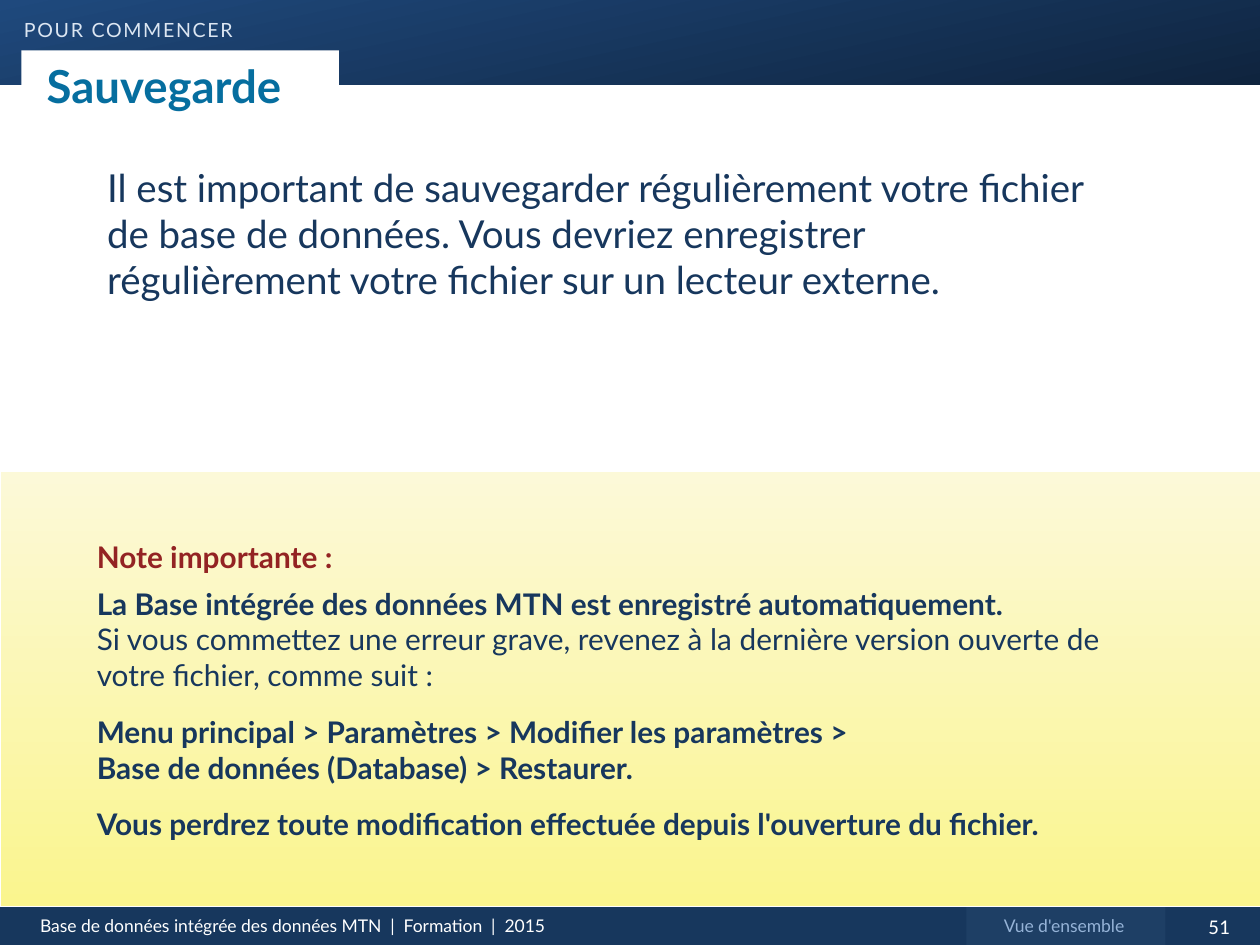
"""Build the "Sauvegarde" training slide."""
from dataclasses import dataclass

from pptx import Presentation
from pptx.dml.color import RGBColor
from pptx.enum.shapes import MSO_SHAPE
from pptx.enum.text import MSO_ANCHOR, MSO_AUTO_SIZE, PP_ALIGN
from pptx.oxml import parse_xml
from pptx.oxml.ns import nsdecls
from pptx.util import Inches, Pt

RECT = MSO_SHAPE.RECTANGLE
TOP, MIDDLE = MSO_ANCHOR.TOP, MSO_ANCHOR.MIDDLE
NO_FIT = MSO_AUTO_SIZE.NONE
LEFT, CENTER = PP_ALIGN.LEFT, PP_ALIGN.CENTER

COLORS = {
    "blue": "1F497D", "night": "0F243E", "navy": "17375D", "tab": "1E3F65",
    "white": "FFFFFF", "pale": "DCE6F2", "sky": "95B3D7", "teal": "066E9F",
    "red": "932323", "yellow": "FAF58E", "cream": "FCF9D8",
}


@dataclass
class Box:
    left: float
    top: float
    width: float
    height: float


@dataclass
class Style:
    size: float
    color: str
    bold: bool = False
    font: str = "Lato"


@dataclass
class Bar:
    box: Box
    colors: tuple[str, ...]
    angle: float = 0


@dataclass
class Label:
    box: Box
    text: str
    style: Style
    align: PP_ALIGN = LEFT


@dataclass
class Para:
    runs: list[tuple[str, Style]]
    after: float = 0


def rgb(name: str) -> RGBColor:
    return RGBColor.from_string(COLORS[name])


def place(sp, box: Box) -> None:
    sp.left, sp.top = Inches(box.left), Inches(box.top)
    sp.width, sp.height = Inches(box.width), Inches(box.height)


def add_run(p, text: str, style: Style):
    r = p.add_run()
    r.text = text
    r.font.size, r.font.bold = Pt(style.size), style.bold
    r.font.name = style.font
    r.font.color.rgb = rgb(style.color)
    return r


def add_bar(s, bar: Bar) -> None:
    b = bar.box
    sp = s.shapes.add_shape(RECT, Inches(b.left), Inches(b.top), Inches(b.width), Inches(b.height))
    sp.shadow.inherit = False
    sp.line.fill.background()
    if len(bar.colors) == 1:
        sp.fill.solid()
        sp.fill.fore_color.rgb = rgb(bar.colors[0])
        return
    sp.fill.gradient()
    sp.fill.gradient_angle = bar.angle
    for stop, color in zip(sp.fill.gradient_stops, bar.colors):
        stop.color.rgb = rgb(color)


def add_text(s, box: Box):
    sp = s.shapes.add_textbox(Inches(box.left), Inches(box.top), Inches(box.width), Inches(box.height))
    sp.text_frame.word_wrap = True
    return sp.text_frame


def add_label(s, label: Label) -> None:
    p = add_text(s, label.box).paragraphs[0]
    p.alignment = label.align
    add_run(p, label.text, label.style)


def add_note(s, box: Box, paras: list[Para]) -> None:
    tf = add_text(s, box)
    for i, para in enumerate(paras):
        p = tf.add_paragraph() if i else tf.paragraphs[0]
        p.space_after = Pt(para.after)
        for j, (text, style) in enumerate(para.runs):
            if j:
                p.add_line_break()
            add_run(p, text, style)


def fill_placeholder(s, sp, label: Label, inset: float, anchor: MSO_ANCHOR = TOP):
    place(sp, label.box)
    s.shapes._spTree.append(sp._element)
    tf = sp.text_frame
    tf.word_wrap, tf.auto_size, tf.vertical_anchor = True, NO_FIT, anchor
    tf.margin_left = tf.margin_right = Inches(inset)
    p = tf.paragraphs[0]
    p.alignment = label.align
    pPr = p._p.get_or_add_pPr()
    pPr.set("marL", "0")
    pPr.set("indent", "0")
    pPr.append(parse_xml(f"<a:buNone {nsdecls('a')}/>"))
    return add_run(p, label.text, label.style)


BARS = [
    Bar(Box(0, 0, 10.01, 0.67), ("blue", "night"), 282),
    Bar(Box(0, 7.2, 10.01, 0.32), ("navy",)),
    Bar(Box(7.67, 7.2, 1.58, 0.31), ("tab",)),
    Bar(Box(0.01, 3.75, 10, 3.44), ("yellow", "cream"), 90),
]
LABELS = [
    Label(Box(9.35, 7.2, 0.65, 0.3), "51", Style(12, "white", font="Calibri"), CENTER),
    Label(Box(0.22, 7.21, 4.53, 0.27),
          "Base de données intégrée des données MTN  |  Formation  |  2015", Style(10, "white")),
    Label(Box(7.67, 7.21, 1.55, 0.27), "Vue d'ensemble", Style(10, "sky"), CENTER),
]
SECTION = Label(Box(0.19, 0.05, 2.5, 0.34), "pour commencer", Style(14, "pale"))
BODY = Label(
    Box(0.75, 1.25, 8, 1.58),
    "Il est important de sauvegarder régulièrement votre fichier de base de données. "
    "Vous devriez enregistrer régulièrement votre fichier sur un lecteur externe.",
    Style(22, "navy"))
TITLE = Label(Box(0.17, 0.4, 2.52, 0.56), "Sauvegarde", Style(26, "teal", True))
PLAIN, STRONG = Style(17, "navy"), Style(17, "navy", True)
NOTE = [
    Para([("Note importante :", Style(17, "red", True))], 6),
    Para([("La Base intégrée des données MTN est enregistré automatiquement. ", STRONG),
          ("Si vous commettez une erreur grave, revenez à la dernière version ouverte de "
           "votre fichier, comme suit :", PLAIN)], 12),
    Para([("Menu principal > Paramètres > Modifier les paramètres > ", STRONG),
          ("Base de données (Database) > Restaurer.", STRONG)], 12),
    Para([("Vous perdrez toute modification effectuée depuis l'ouverture du fichier.", STRONG)]),
]


def main() -> None:
    prs = Presentation()
    prs.slide_width, prs.slide_height = Inches(10), Inches(7.5)
    s = prs.slides.add_slide(prs.slide_layouts[3])
    title, section, body = s.placeholders
    for bar in BARS:
        add_bar(s, bar)
    for label in LABELS:
        add_label(s, label)
    r = fill_placeholder(s, section, SECTION, 0)
    r.font._element.set("cap", "small")
    r.font._element.set("spc", "100")
    fill_placeholder(s, body, BODY, 0.1)
    fill_placeholder(s, title, TITLE, 0.2, MIDDLE)
    title.fill.solid()
    title.fill.fore_color.rgb = rgb("white")
    add_note(s, Box(0.67, 4.23, 8.67, 2.52), NOTE)
    prs.save("out.pptx")


if __name__ == "__main__":
    main()
